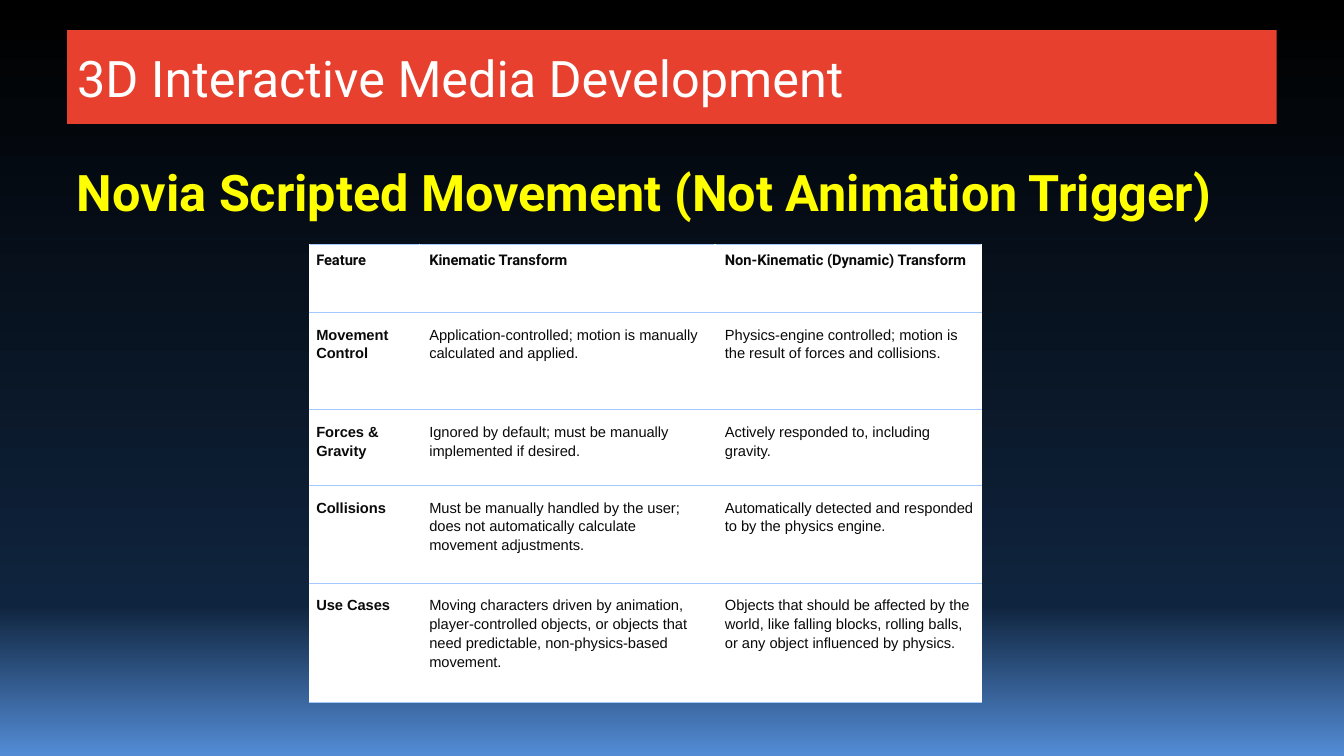
from copy import deepcopy

from lxml import etree
from pptx import Presentation, util as u
from pptx.dml.color import RGBColor
from pptx.enum import text
from pptx.oxml.ns import qn

COLORS = {
    "banner": "E8402E",
    "banner text": "FFFFFF",
    "heading": "FFFF00",
    "cell": "FFFFFF",
    "cell text": "0A0A0A",
    "rule": "A3C9FF",
}
BACKDROP = [(0, "000000"), (0.8, "0F243E"), (1, "538CD5")]

COURSE = "3D Interactive Media Development"
TOPIC = "Novia Scripted Movement (Not Animation Trigger)"
COMPARISON = [
    ("Feature", "Kinematic Transform", "Non-Kinematic (Dynamic) Transform"),
    ("Movement Control",
     "Application-controlled; motion is manually calculated and applied.",
     "Physics-engine controlled; motion is the result of forces and collisions."),
    ("Forces & Gravity",
     "Ignored by default; must be manually implemented if desired.",
     "Actively responded to, including gravity."),
    ("Collisions",
     "Must be manually handled by the user; does not automatically calculate movement adjustments.",
     "Automatically detected and responded to by the physics engine."),
    ("Use Cases",
     "Moving characters driven by animation, player-controlled objects, or objects that need "
     "predictable, non-physics-based movement.",
     "Objects that should be affected by the world, like falling blocks, rolling balls, "
     "or any object influenced by physics."),
]
COLUMN_WIDTHS = [2.78, 7.45, 6.71]
ROW_HEIGHTS = [1.72, 2.46, 1.9, 2.46, 3.02]


def rgb(name):
    return RGBColor.from_string(COLORS[name])


def style(paragraph, size, face, color, bold):
    for run in paragraph.runs:
        run.font.size = u.Pt(size)
        run.font.name = face
        run.font.bold = bold
        run.font.color.rgb = rgb(color)


def paint_backdrop(slide):
    fill = slide.background.fill
    fill.gradient()
    fill.gradient_angle = 270
    stops = slide.element.find(".//" + qn("a:gsLst"))
    stops.append(deepcopy(stops[-1]))
    for stop, (position, color) in zip(fill.gradient_stops, BACKDROP):
        stop.position = position
        stop.color.rgb = RGBColor.from_string(color)


def rule_cell(cell):
    properties = cell._tc.get_or_add_tcPr()
    for place, side in enumerate(("a:lnT", "a:lnB")):
        line = etree.Element(qn(side), w=str(u.Pt(0.75)))
        solid = etree.SubElement(line, qn("a:solidFill"))
        etree.SubElement(solid, qn("a:srgbClr"), val=COLORS["rule"])
        properties.insert(place, line)


def add_comparison(slide):
    table = slide.shapes.add_table(
        len(ROW_HEIGHTS), len(COLUMN_WIDTHS), u.Cm(7.79), u.Cm(6.15),
        u.Cm(sum(COLUMN_WIDTHS)), u.Cm(sum(ROW_HEIGHTS))).table
    table.first_row = table.horz_banding = False
    for column, width in zip(table.columns, COLUMN_WIDTHS):
        column.width = u.Cm(width)
    for row, height in zip(table.rows, ROW_HEIGHTS):
        row.height = u.Cm(height)

    last = len(COLUMN_WIDTHS) - 1
    for r, entries in enumerate(COMPARISON):
        for c, entry in enumerate(entries):
            header = r == 0
            cell = table.cell(r, c)
            cell.text = entry
            cell.margin_left = u.Cm(0.18 if c == 0 else 0.25)
            cell.margin_right = u.Cm(0.18 if c == last else 0.25)
            cell.margin_top = u.Cm(0.13 if header else 0.3)
            cell.margin_bottom = u.Cm(0.3)
            cell.fill.solid()
            cell.fill.fore_color.rgb = rgb("cell")
            rule_cell(cell)
            paragraph = cell.text_frame.paragraphs[0]
            paragraph.line_spacing = u.Pt(13.9 if header else 13.5)
            style(paragraph, 10.5, "Roboto" if header else "Arial",
                  "cell text", header or c == 0)


def main():
    deck = Presentation()
    deck.slide_width, deck.slide_height = u.Cm(33.87), u.Cm(19.05)
    slide = deck.slides.add_slide(deck.slide_layouts[5])
    paint_backdrop(slide)

    course = slide.shapes.title
    course.left, course.top = u.Cm(1.69), u.Cm(0.76)
    course.width, course.height = u.Cm(30.48), u.Cm(2.36)
    course.fill.solid()
    course.fill.fore_color.rgb = rgb("banner")
    course.text_frame.text = COURSE
    course.text_frame.auto_size = text.MSO_AUTO_SIZE.NONE
    course.text_frame.vertical_anchor = text.MSO_ANCHOR.MIDDLE
    course.text_frame.paragraphs[0].alignment = text.PP_ALIGN.LEFT
    style(course.text_frame.paragraphs[0], 36, "Roboto", "banner text", False)

    topic = slide.shapes.add_textbox(u.Cm(1.69), u.Cm(3.94), u.Cm(30.25), u.Cm(3.33))
    topic.text_frame.word_wrap = True
    topic.text_frame.text = TOPIC
    style(topic.text_frame.paragraphs[0], 36, "Roboto", "heading", True)

    add_comparison(slide)
    deck.save("out.pptx")


if __name__ == "__main__":
    main()
